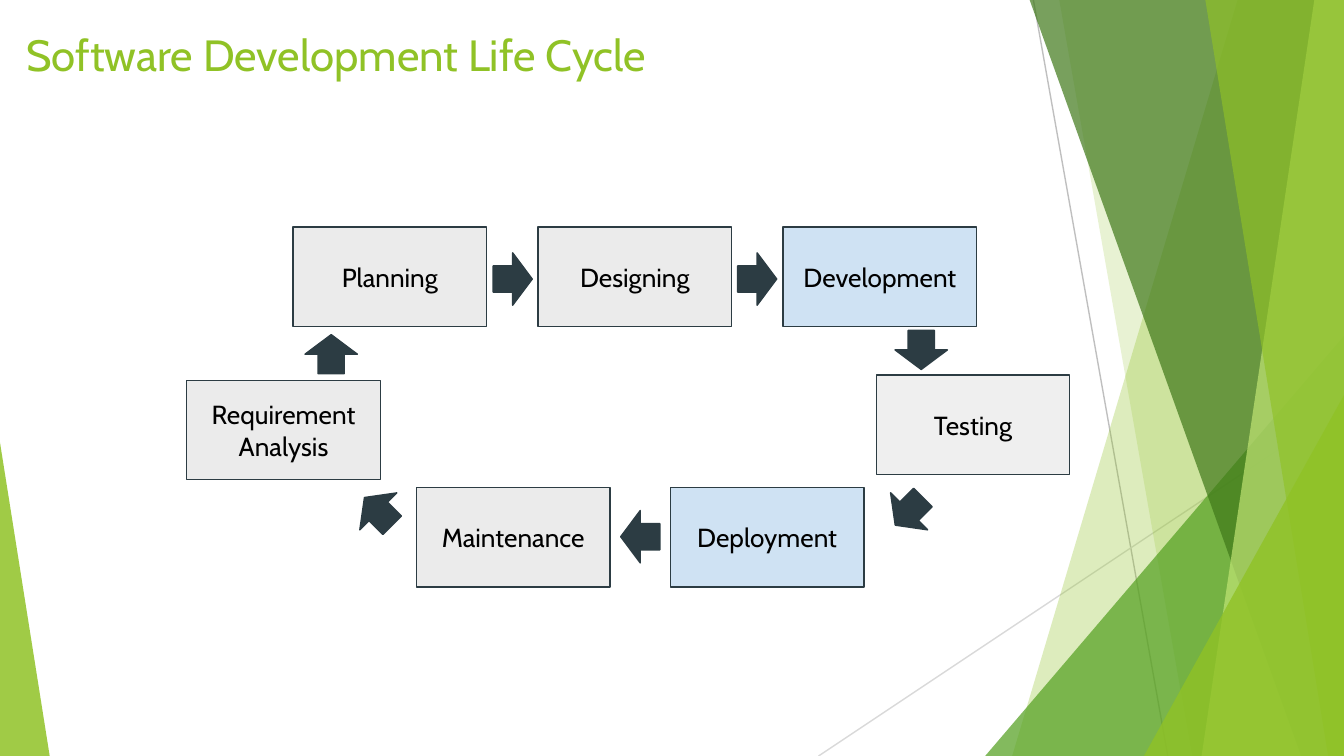
"""Build the Software Development Life Cycle slide."""
from lxml import etree
from pptx import Presentation
from pptx.dml.color import RGBColor
from pptx.enum.shapes import MSO_CONNECTOR, MSO_SHAPE
from pptx.enum.text import MSO_ANCHOR, PP_ALIGN
from pptx.oxml.ns import qn
from pptx.util import Cm, Pt

RECTANGLE, ARROW = MSO_SHAPE.RECTANGLE, MSO_SHAPE.RIGHT_ARROW
TRIANGLE = MSO_SHAPE.ISOSCELES_TRIANGLE
STRAIGHT = MSO_CONNECTOR.STRAIGHT
TOP, MIDDLE = MSO_ANCHOR.TOP, MSO_ANCHOR.MIDDLE
LEFT, CENTER = PP_ALIGN.LEFT, PP_ALIGN.CENTER

GREEN = RGBColor(0x90, 0xC2, 0x26)
LEAF = RGBColor(0x54, 0xA0, 0x21)
FOREST = RGBColor(0x3F, 0x78, 0x19)
LIME = RGBColor(0xC0, 0xE4, 0x74)
SLATE = RGBColor(0x2C, 0x3C, 0x43)
GRAY = RGBColor(0xEB, 0xEB, 0xEB)
PALE_GRAY = RGBColor(0xEF, 0xEF, 0xEF)
BLUE = RGBColor(0xCF, 0xE2, 0xF3)
BLACK = RGBColor(0, 0, 0)
LINE_GRAY = RGBColor(0xBF, 0xBF, 0xBF)
LINE_PALE = RGBColor(0xD9, 0xD9, 0xD9)

FONT = "Cabin"
WIDTH, HEIGHT = 25.4, 14.29
BOX_WIDTH, BOX_HEIGHT = 3.66, 1.88
ARROW_WIDTH, ARROW_HEIGHT = 0.74, 0.99
ROW_LEFT, ROW_STEP = 5.54, 4.63
ROW_TOP, LOWER_TOP = 4.29, 9.22

TITLE = "Software Development Life Cycle"
RAYS = [
    ((19.53, 0), (22.07, HEIGHT), LINE_GRAY),
    ((WIDTH, 7.67), (15.47, HEIGHT), LINE_PALE),
]
FACETS = [
    ("band", (23.39, 19.13), GREEN, 30),
    ("band", (20.02, 22.53), GREEN, 20),
    ("triangle", (18.62, 6.35, 6.78, 1), LEAF, 72),
    ("band", (19.46, 24.59), FOREST, 70),
    ("band", (24.84, 22.71), LIME, 70),
    ("band", (22.78, 25.1), GREEN, 65),
    ("triangle", (21.62, 7.47, 3.78, 1), GREEN, 80),
    ("triangle", (0, 8.36, 0.94, 0), GREEN, 85),
]
STAGES = [
    (["Planning"], ROW_LEFT, ROW_TOP, GRAY),
    (["Designing"], ROW_LEFT + ROW_STEP, ROW_TOP, GRAY),
    (["Development"], ROW_LEFT + 2 * ROW_STEP, ROW_TOP, BLUE),
    (["Testing"], 16.56, 7.09, PALE_GRAY),
    (["Deployment"], 12.67, LOWER_TOP, BLUE),
    (["Maintenance"], 7.87, LOWER_TOP, GRAY),
    (["Requirement", "Analysis"], 3.53, 7.19, GRAY),
]
ARROWS = [
    (9.32, 4.78, 0),
    (13.94, 4.78, 0),
    (17.04, 6.12, 90),
    (16.81, 9.17, 135),
    (11.73, 9.65, 180),
    (6.78, 9.17, 225),
    (5.89, 6.2, 270),
]


def paint(shape, color, outline=None):
    shape.shadow.inherit = False
    shape.fill.solid()
    shape.fill.fore_color.rgb = color
    if outline is None:
        shape.line.fill.background()
    else:
        shape.line.color.rgb = outline
        shape.line.width = Pt(0.75)


def write(shape, lines, size, color, align, anchor):
    frame = shape.text_frame
    frame.word_wrap = True
    frame.vertical_anchor = anchor
    frame.margin_left = frame.margin_right = Cm(0.25)
    frame.margin_top = frame.margin_bottom = Cm(0.25)
    frame.text = "\n".join(lines)
    for para in frame.paragraphs:
        para.alignment = align
        para.font.name = FONT
        para.font.size = Pt(size)
        para.font.color.rgb = color


def add_ray(page, start, end, color):
    ray = page.shapes.add_connector(STRAIGHT, *map(Cm, start + end))
    ray.line.color.rgb = color
    ray.line.width = Pt(0.75)
    etree.SubElement(ray._element.spPr, qn("a:effectLst"))


def add_facet(page, kind, place, color, opacity):
    if kind == "band":
        upper, lower = place
        builder = page.shapes.build_freeform(Cm(upper), 0)
        corners = [(WIDTH, 0), (WIDTH, HEIGHT), (lower, HEIGHT)]
        builder.add_line_segments([(Cm(x), Cm(y)) for x, y in corners])
        facet = builder.convert_to_shape()
    else:
        left, top, width, apex = place
        facet = page.shapes.add_shape(
            TRIANGLE, Cm(left), Cm(top), Cm(width), Cm(HEIGHT - top))
        facet.adjustments[0] = apex
    paint(facet, color)
    tone = facet._element.spPr.find(qn("a:solidFill"))[0]
    etree.SubElement(tone, qn("a:alpha"), val=str(opacity * 1000))


def add_stage(page, lines, left, top, color):
    box = page.shapes.add_shape(
        RECTANGLE, Cm(left), Cm(top), Cm(BOX_WIDTH), Cm(BOX_HEIGHT))
    paint(box, color, SLATE)
    write(box, lines, 14, BLACK, CENTER, MIDDLE)


def add_arrow(page, left, top, angle):
    arrow = page.shapes.add_shape(
        ARROW, Cm(left), Cm(top), Cm(ARROW_WIDTH), Cm(ARROW_HEIGHT))
    arrow.rotation = angle
    paint(arrow, SLATE, SLATE)


def add_title(page):
    title = page.shapes.title
    title.left, title.top = Cm(0.25), Cm(0.28)
    title.width, title.height = Cm(21.36), Cm(1.5)
    write(title, [TITLE], 23.4, GREEN, LEFT, TOP)
    page.shapes._spTree.append(title._element)


def main():
    deck = Presentation()
    deck.slide_width, deck.slide_height = Cm(WIDTH), Cm(HEIGHT)
    page = deck.slides.add_slide(deck.slide_layouts[5])
    for ray in RAYS:
        add_ray(page, *ray)
    for facet in FACETS:
        add_facet(page, *facet)
    add_title(page)
    for stage in STAGES:
        add_stage(page, *stage)
    for arrow in ARROWS:
        add_arrow(page, *arrow)
    deck.save("out.pptx")


if __name__ == "__main__":
    main()
